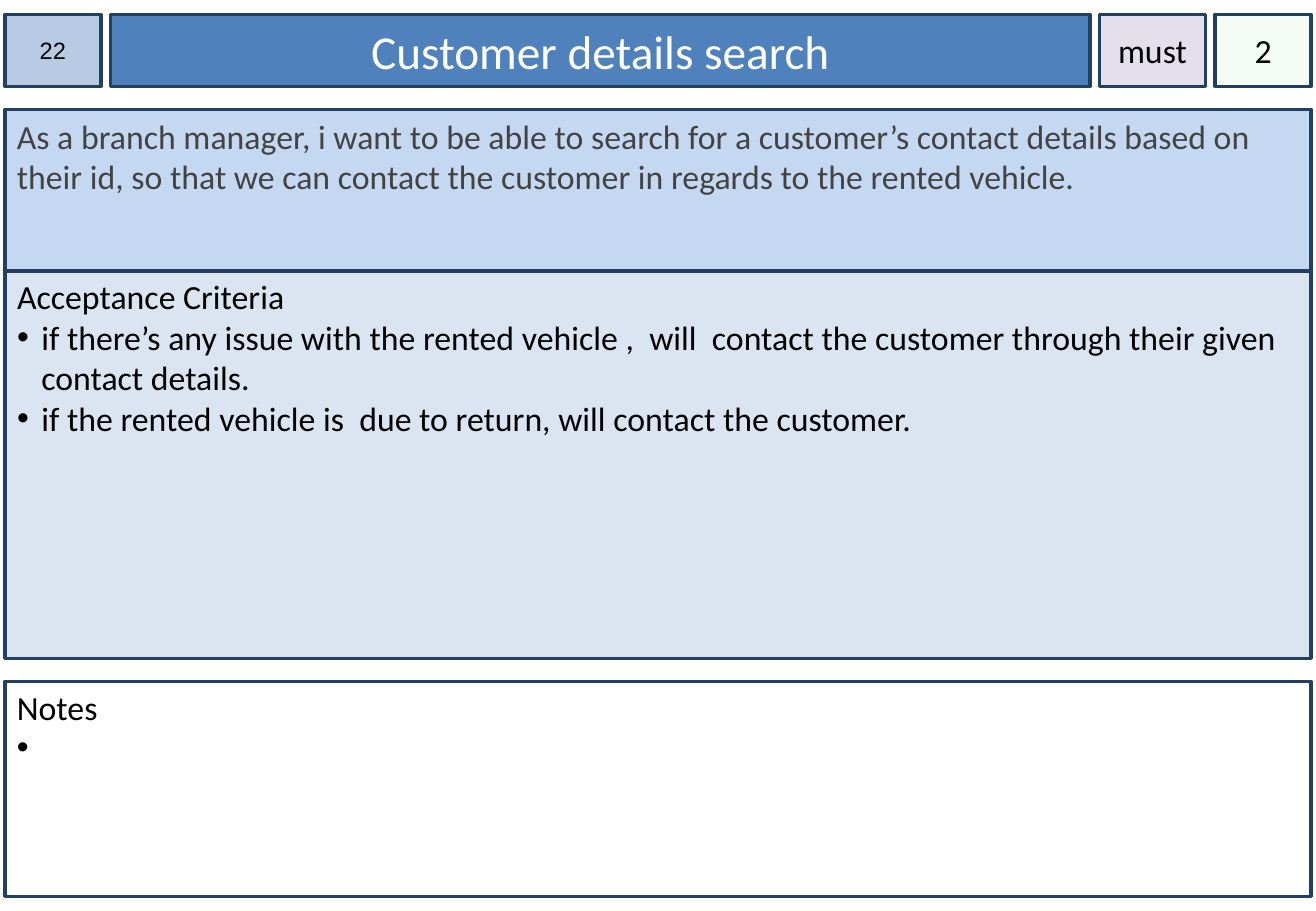
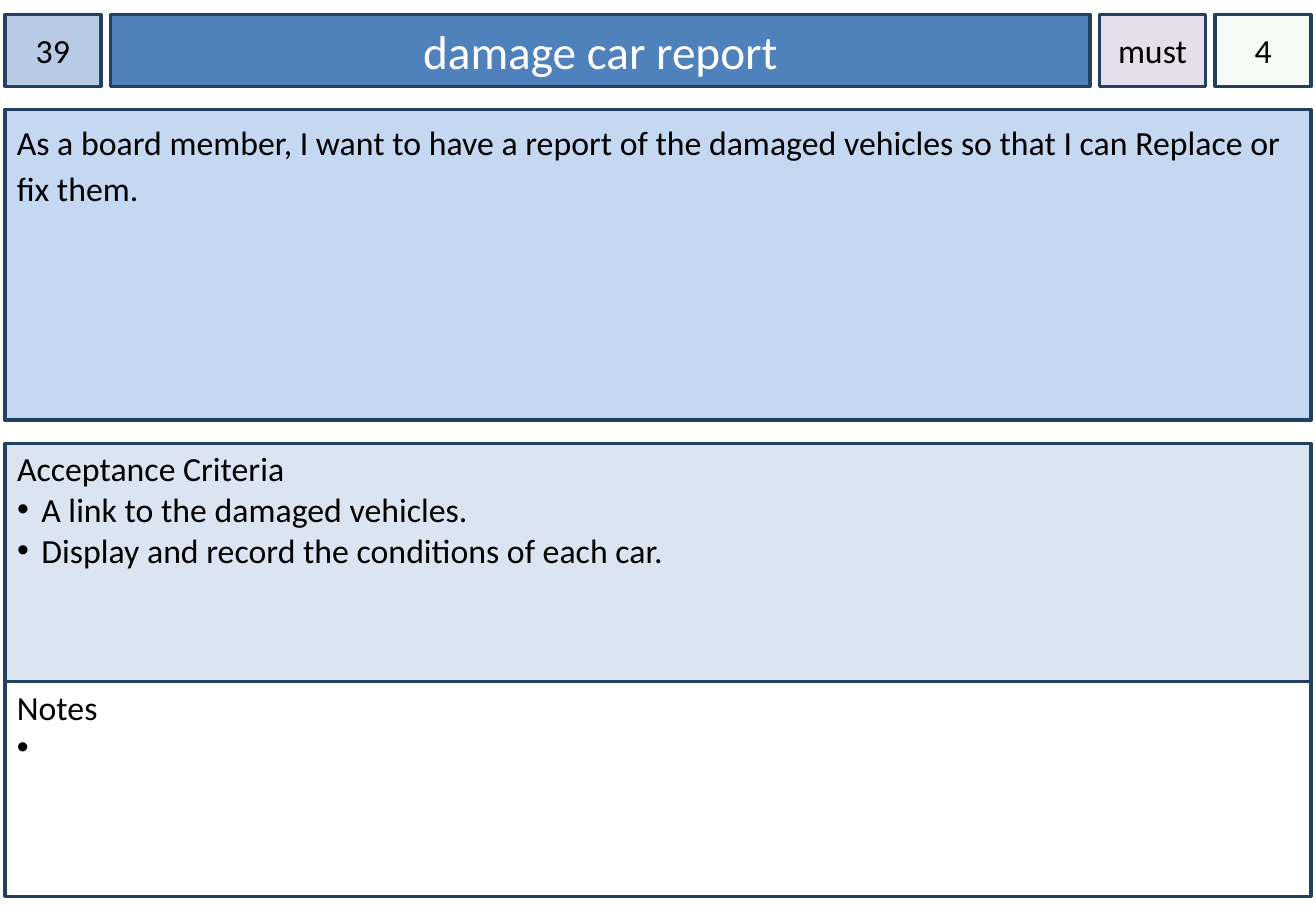
from dataclasses import dataclass

from lxml.etree import SubElement
from pptx import Presentation
from pptx.dml.color import RGBColor
from pptx.enum.shapes import MSO_SHAPE
from pptx.enum.text import MSO_ANCHOR as Anchor, MSO_AUTO_SIZE, PP_ALIGN as Align
from pptx.oxml.ns import qn
from pptx.util import Inches, Pt


@dataclass(frozen=True)
class Theme:
    font: str = "Calibri"
    plain_font: str = "Arial"
    title_size: int = 28
    text_size: int = 20
    small_size: int = 14
    text: str = "000000"
    soft_text: str = "434343"
    title_text: str = "FFFFFF"
    border: str = "244061"
    border_width: int = 2
    number: str = "B7CCE4"
    title: str = "4F81BD"
    priority: str = "E5DFEC"
    points: str = "CCF0CD"
    points_alpha: int = 20
    story: str = "C5D8F1"
    criteria: str = "DAE5F1"
    notes: str = "FFFFFF"


@dataclass(frozen=True)
class Box:
    left: float
    top: float
    width: float
    height: float


@dataclass(frozen=True)
class Card:
    number: str
    title: str
    priority: str
    points: str
    story: str
    criteria: tuple
    story_height: float
    criteria_top: float
    criteria_height: float
    number_format: dict
    story_format: dict


THEME = Theme()
SLIDE_WIDTH, SLIDE_HEIGHT = 10.83, 7.5
MARGIN, GAP = 0.04, 0.08
CONTENT_WIDTH = 10.75
HEADER = Box(MARGIN, 0.12, CONTENT_WIDTH, 0.59)
STORY_TOP = 0.9
NOTES = Box(MARGIN, 5.61, CONTENT_WIDTH, 1.77)
BULLET_INDENT = 0.2

CARDS = (
    Card(
        number="22",
        title="Customer details search",
        priority="must",
        points="2",
        story="As a branch manager, i want to be able to search for a customer’s contact "
              "details based on their id, so that we can contact the customer in regards "
              "to the rented vehicle.",
        criteria=(
            "if there’s any issue with the rented vehicle ,  will  contact the customer "
            "through their given contact details.",
            "if the rented vehicle is  due to return, will contact the customer.",
        ),
        story_height=1.33,
        criteria_top=2.23,
        criteria_height=3.19,
        number_format={"font": THEME.plain_font, "size": THEME.small_size},
        story_format={"color": THEME.soft_text},
    ),
    Card(
        number="39",
        title="damage car report",
        priority="must",
        points="4",
        story="As a board member, I want to have a report of the damaged vehicles so that "
              "I can Replace or fix them.",
        criteria=(
            "A link to the damaged vehicles.",
            "Display and record the conditions of each car.",
        ),
        story_height=2.56,
        criteria_top=3.65,
        criteria_height=2.01,
        number_format={},
        story_format={"line_spacing": 1.15},
    ),
)


def write(paragraph, text, *, size=THEME.text_size, color=THEME.text, font=THEME.font,
          align=Align.LEFT, line_spacing=1.0, bullet=False):
    paragraph.alignment = align
    paragraph.line_spacing = line_spacing
    paragraph.space_before = paragraph.space_after = Pt(0)
    run = paragraph.add_run()
    run.text = text
    run.font.size = Pt(size)
    run.font.name = font
    run.font.color.rgb = RGBColor.from_string(color)

    properties = paragraph._p.get_or_add_pPr()
    indent = Inches(BULLET_INDENT) if bullet else 0
    properties.set("marL", str(indent))
    properties.set("indent", str(-indent))
    if bullet:
        bullet_color = SubElement(properties, qn("a:buClr"))
        SubElement(bullet_color, qn("a:srgbClr"), val=color)
        SubElement(properties, qn("a:buFont"), typeface=THEME.plain_font)
        SubElement(properties, qn("a:buChar"), char="•")
    else:
        SubElement(properties, qn("a:buNone"))


def style_panel(panel, box, fill, *, alpha=None, anchor=Anchor.TOP, side_inset=0.1,
                top_inset=0.05):
    """Place, fill and border a shape or placeholder; return its text frame."""
    panel.left, panel.top = Inches(box.left), Inches(box.top)
    panel.width, panel.height = Inches(box.width), Inches(box.height)
    panel.fill.solid()
    panel.fill.fore_color.rgb = RGBColor.from_string(fill)
    if alpha is not None:
        fill_color = panel._element.spPr.find(qn("a:solidFill"))[0]
        SubElement(fill_color, qn("a:alpha"), val=str(alpha * 1000))
    panel.line.color.rgb = RGBColor.from_string(THEME.border)
    panel.line.width = Pt(THEME.border_width)

    frame = panel.text_frame
    frame.word_wrap = True
    frame.auto_size = MSO_AUTO_SIZE.NONE
    frame.vertical_anchor = anchor
    frame.margin_left = frame.margin_right = Inches(side_inset)
    frame.margin_top, frame.margin_bottom = Inches(top_inset), Inches(0.05)
    return frame


def add_panel(slide, box, fill, **layout):
    panel = slide.shapes.add_shape(MSO_SHAPE.RECTANGLE, 0, 0, 0, 0)
    panel.shadow.inherit = False
    return style_panel(panel, box, fill, **layout)


def write_list(frame, heading, items):
    write(frame.paragraphs[0], heading)
    for item in items:
        write(frame.add_paragraph(), item, bullet=True)


def build_header(slide, card, box):
    """Lay number, title, priority and points in one row across the box."""
    end_width, priority_width = 0.79, 0.87
    title_width = box.width - 2 * end_width - priority_width - 3 * GAP
    cells, left = [], box.left
    for width in (end_width, title_width, priority_width, end_width):
        cells.append(Box(left, box.top, width, box.height))
        left += width + GAP
    number_box, title_box, priority_box, points_box = cells

    title = style_panel(slide.shapes.title, title_box, THEME.title, anchor=Anchor.MIDDLE)
    write(title.paragraphs[0], card.title, size=THEME.title_size,
          color=THEME.title_text, align=Align.CENTER)

    for text, cell, fill, alpha, text_format in (
        (card.number, number_box, THEME.number, None, card.number_format),
        (card.priority, priority_box, THEME.priority, None, {}),
        (card.points, points_box, THEME.points, THEME.points_alpha, {}),
    ):
        frame = add_panel(slide, cell, fill, alpha=alpha, anchor=Anchor.MIDDLE, side_inset=0)
        write(frame.paragraphs[0], text, align=Align.CENTER, **text_format)


def build_story(slide, card, box):
    frame = add_panel(slide, box, THEME.story)
    write(frame.paragraphs[0], card.story, **card.story_format)


def build_criteria(slide, card, box):
    frame = style_panel(slide.placeholders[1], box, THEME.criteria, top_inset=0.04)
    write_list(frame, "Acceptance Criteria", card.criteria)


def build_notes(slide, box):
    """Add the notes panel with one bullet left open for filling in."""
    write_list(add_panel(slide, box, THEME.notes, top_inset=0.04), "Notes", (" ",))


def build_card(deck, card):
    slide = deck.slides.add_slide(deck.slide_layouts[1])
    build_header(slide, card, HEADER)
    build_story(slide, card, Box(MARGIN, STORY_TOP, CONTENT_WIDTH, card.story_height))
    build_criteria(slide, card,
                   Box(MARGIN, card.criteria_top, CONTENT_WIDTH, card.criteria_height))
    build_notes(slide, NOTES)


def main():
    deck = Presentation()
    deck.slide_width, deck.slide_height = Inches(SLIDE_WIDTH), Inches(SLIDE_HEIGHT)
    for card in CARDS:
        build_card(deck, card)
    deck.save("out.pptx")


if __name__ == "__main__":
    main()
